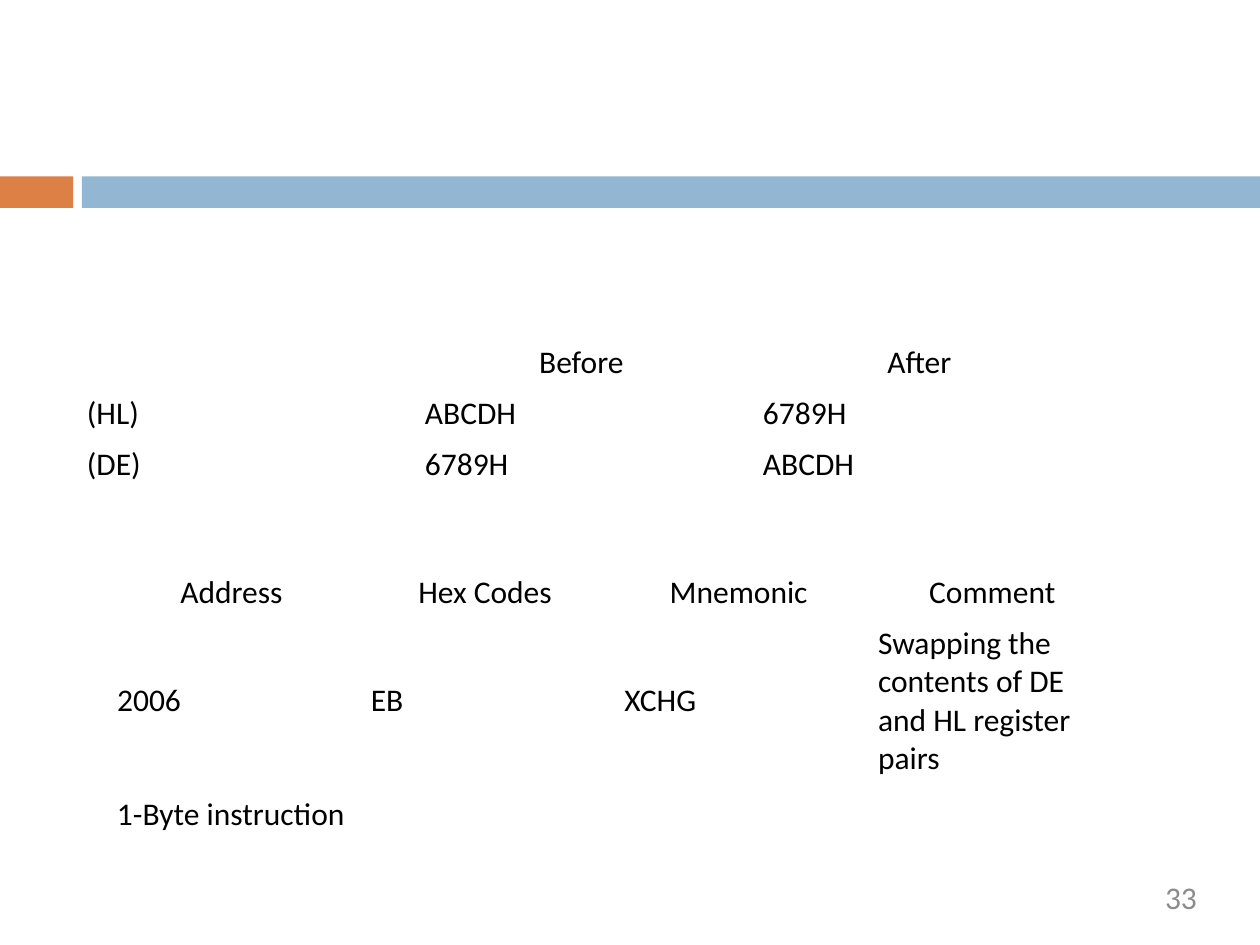
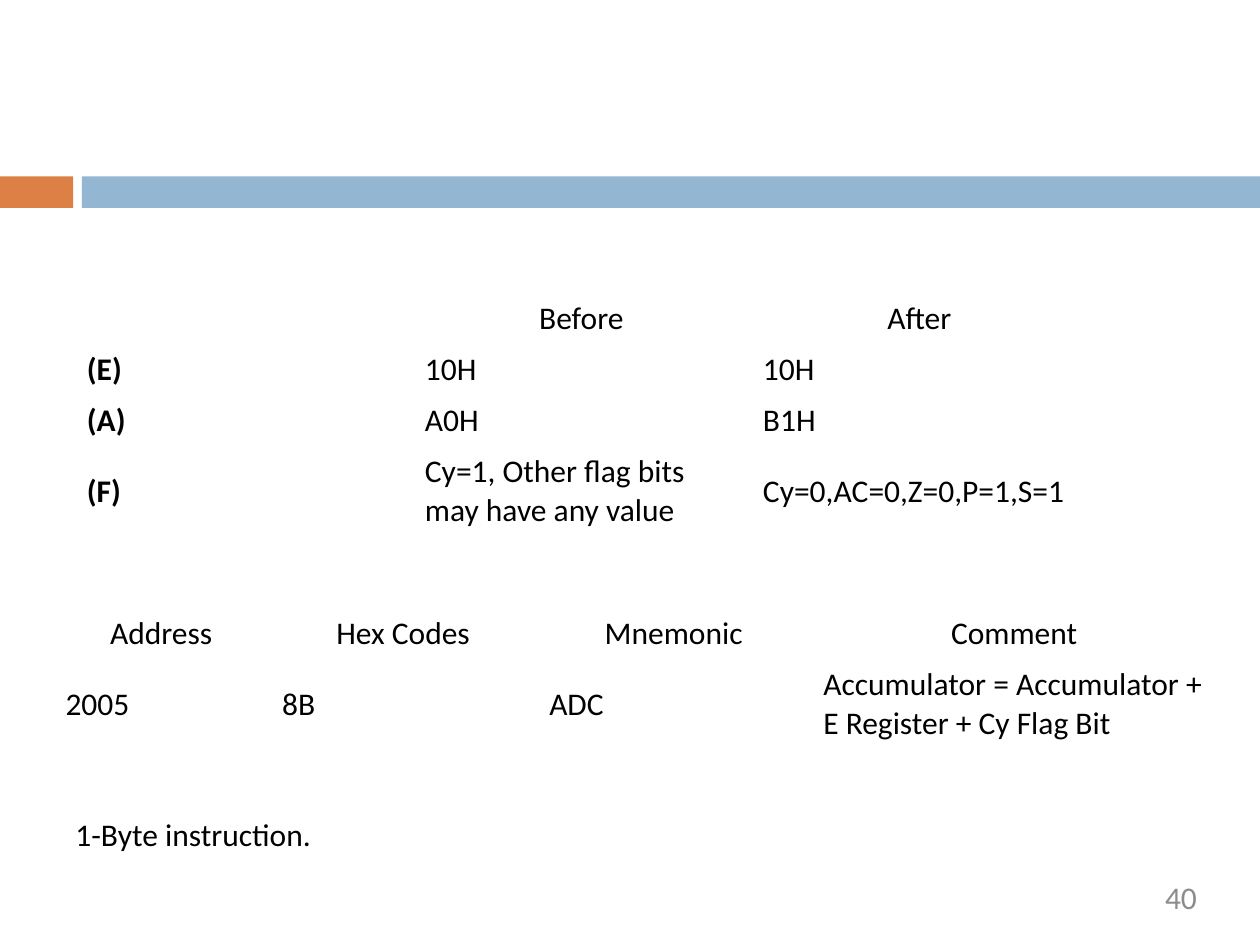
from pptx import Presentation
from pptx.dml.color import RGBColor
from pptx.enum.shapes import MSO_SHAPE
from pptx.enum.text import MSO_ANCHOR, PP_ALIGN
from pptx.util import Inches, Pt

BLACK, GRAY, ORANGE, BLUE = "000000", "8C8C8C", "DD8046", "93B6D2"
COLS, ROWS = 100, 75
LINE = 4.05
STATE_COLS = [26.83] * 3
STATE_HEADS = ["", "Before", "After"]
CODE_HEADS = ["Address", "Hex Codes", "Mnemonic", "Comment"]


def color(value):
    """Turn a hex string into a colour."""
    return RGBColor.from_string(value)


def write(tf, text, size=18, fill=BLACK, bold=False, align=PP_ALIGN.LEFT):
    """Put one formatted line of text into a text frame."""
    p = tf.paragraphs[0]
    p.alignment = align
    r = p.add_run()
    r.text = text
    r.font.name, r.font.size, r.font.bold = "Calibri", Pt(size), bold
    r.font.color.rgb = color(fill)


class Deck:
    """Holds the presentation, its grid and the current slide."""

    def __init__(self):
        """Start an empty 4:3 presentation."""
        self.prs = Presentation()
        self.prs.slide_width, self.prs.slide_height = Inches(10), Inches(7.5)

    def box(self, x, y, w, h):
        """Convert grid columns and rows to lengths."""
        col, row = self.prs.slide_width / COLS, self.prs.slide_height / ROWS
        return int(x * col), int(y * row), int(w * col), int(h * row)

    def slide(self, number):
        """Add a slide with the bands and its page number."""
        self.s = self.prs.slides.add_slide(self.prs.slide_layouts[6])
        self.band(0, 5.8, ORANGE)
        self.band(6.5, 93.5, BLUE)
        self.text(72, 69.7, 23, 3.8, str(number), inset=0, wrap=True,
                  fill=GRAY, align=PP_ALIGN.RIGHT)

    def band(self, x, w, fill):
        """Draw one piece of the band under the title area."""
        sp = self.s.shapes.add_shape(MSO_SHAPE.RECTANGLE, *self.box(x, 14, w, 2.5))
        sp.shadow.inherit = False
        sp.fill.solid()
        sp.fill.fore_color.rgb = color(fill)
        sp.line.fill.background()

    def text(self, x, y, w, h, text, inset=None, wrap=False, **style):
        """Add a text box, with equal insets if given."""
        tf = self.s.shapes.add_textbox(*self.box(x, y, w, h)).text_frame
        tf.word_wrap = wrap
        if inset is not None:
            tf.margin_left = tf.margin_right = Inches(inset)
            tf.margin_top = tf.margin_bottom = Inches(inset)
        write(tf, text, **style)

    def table(self, x, y, widths, heights, rows, bold_labels=False):
        """Add a plain table with a centred heading row."""
        frame = self.s.shapes.add_table(len(rows), len(widths),
                                        *self.box(x, y, sum(widths), sum(heights)))
        table = frame.table
        table.first_row = table.horz_banding = False
        for column, width in zip(table.columns, widths):
            column.width = self.box(0, 0, width, 0)[2]
        for i, (row, height) in enumerate(zip(rows, heights)):
            table.rows[i].height = self.box(0, 0, 0, height)[3]
            for j, value in enumerate(row):
                cell = table.cell(i, j)
                cell.fill.background()
                cell.vertical_anchor = MSO_ANCHOR.MIDDLE
                if value:
                    write(cell.text_frame, value,
                          bold=bold_labels and i > 0 and j == 0,
                          align=PP_ALIGN.LEFT if i else PP_ALIGN.CENTER)


def main():
    """Build both instruction slides."""
    deck = Deck()

    deck.slide(33)
    deck.table(5.9, 26.8, STATE_COLS, [LINE] * 3, [
        STATE_HEADS,
        ["(HL)", "ABCDH", "6789H"],
        ["(DE)", "6789H", "ABCDH"]])
    deck.table(8.3, 45, [20.13] * 4, [LINE, 13.2], [
        CODE_HEADS,
        ["2006", "EB", "XCHG", "Swapping the contents of DE and HL register pairs"]])
    deck.text(8.3, 62.5, 20.9, 4, "1-Byte instruction")

    deck.slide(40)
    deck.table(5.9, 23.3, STATE_COLS, [LINE] * 3 + [7.1], [
        STATE_HEADS,
        ["(E)", "10H", "10H"],
        ["(A)", "A0H", "B1H"],
        ["(F)", "Cy=1, Other flag bits may have any value",
         "Cy=0,AC=0,Z=0,P=1,S=1"]], bold_labels=True)
    deck.table(4.2, 48.3, [17.2, 21.2, 21.75, 32.3], [LINE, 7.1], [
        CODE_HEADS,
        ["2005", "8B", "ADC", "Accumulator = Accumulator + E Register + Cy Flag Bit"]])
    deck.text(5, 64.2, 21.5, 4, "1-Byte instruction.")

    deck.prs.save("out.pptx")


if __name__ == "__main__":
    main()
